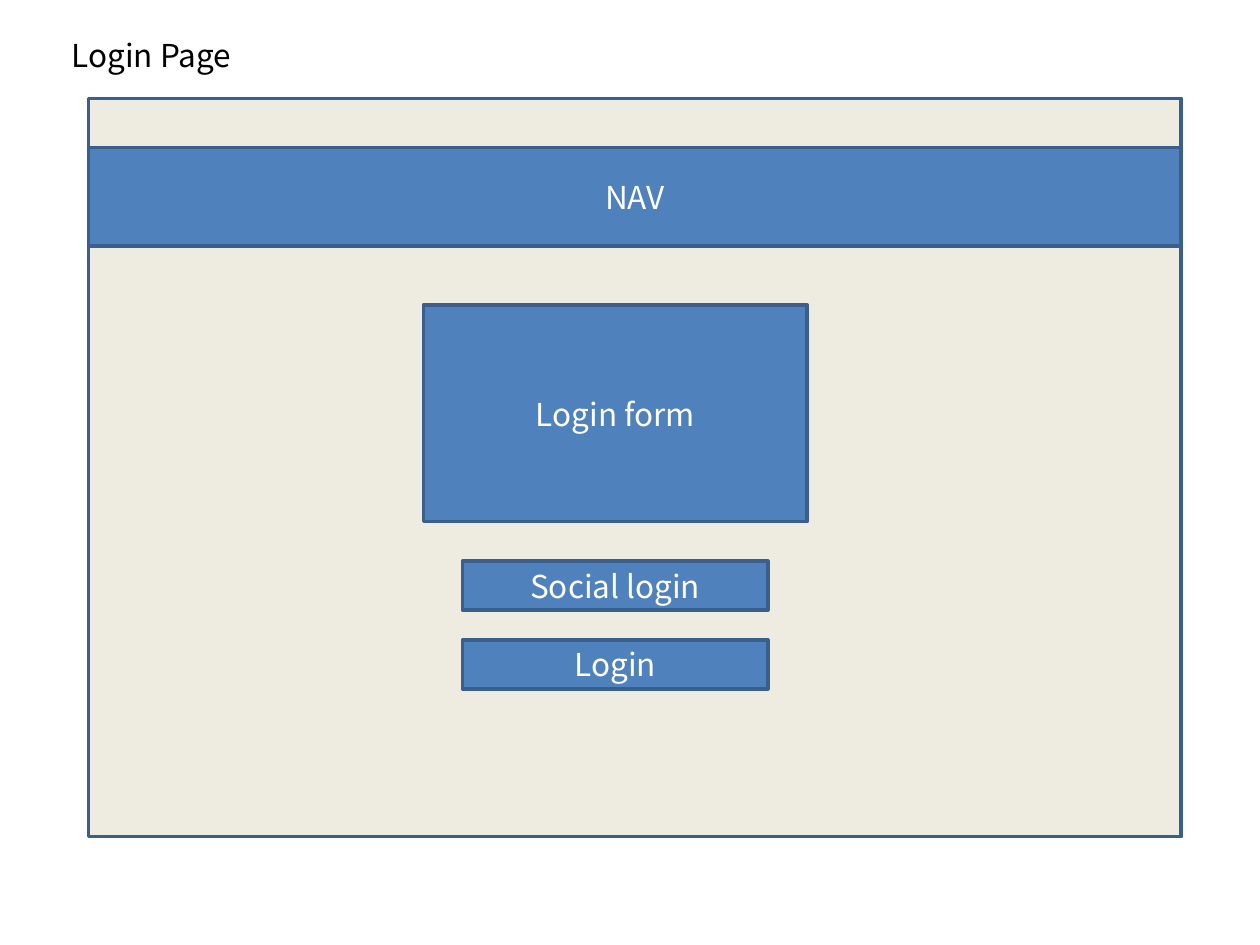
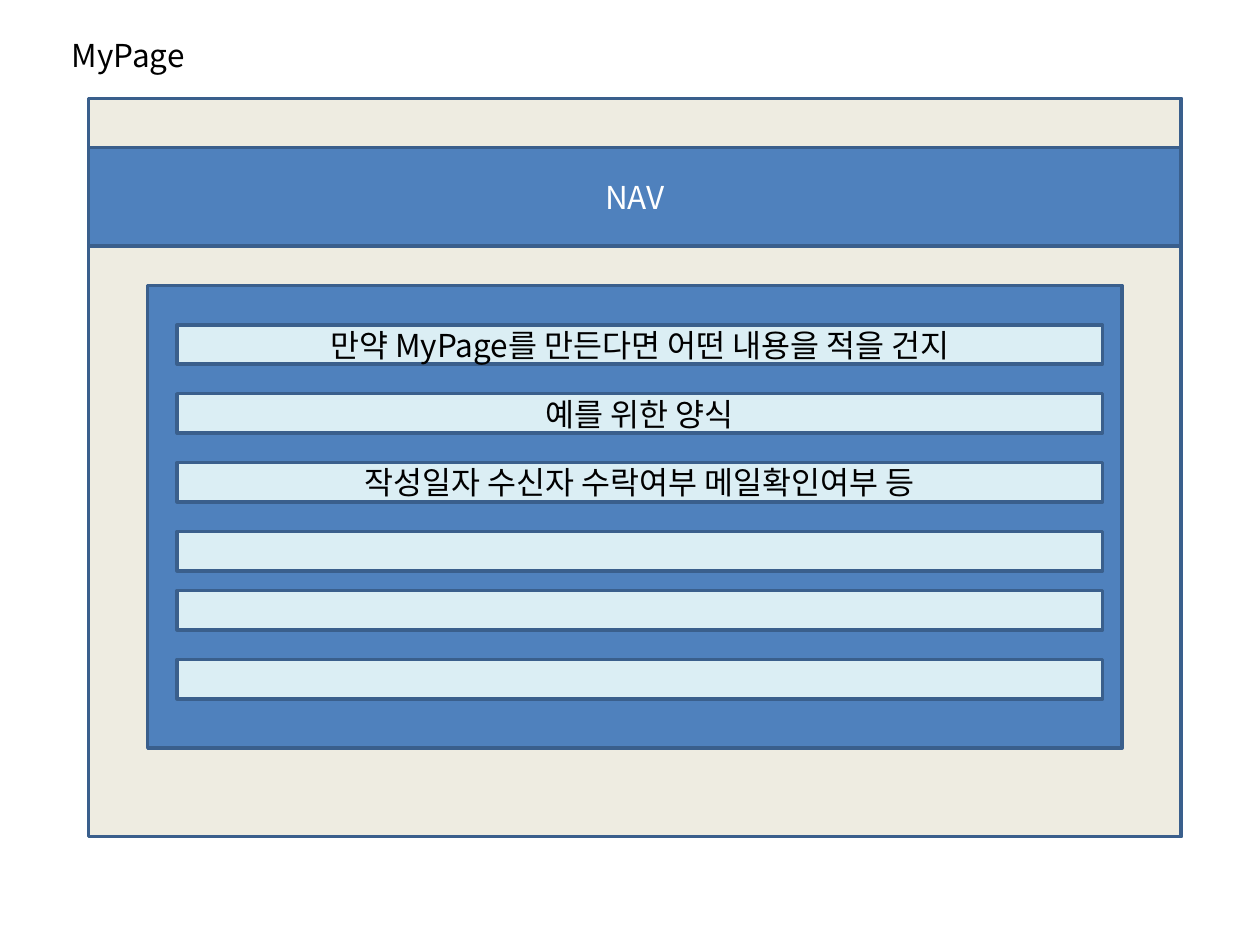
"""Build two web page wireframes: a login page and a personal page."""
import pptx
import pptx.dml.color
import pptx.enum.shapes
import pptx.enum.text
import pptx.oxml.ns
import pptx.util
import lxml.etree

WHITE = pptx.dml.color.RGBColor(0xFF, 0xFF, 0xFF)
BLACK = pptx.dml.color.RGBColor(0x00, 0x00, 0x00)
CREAM = pptx.dml.color.RGBColor(0xEE, 0xEC, 0xE1)
BLUE = pptx.dml.color.RGBColor(0x4F, 0x81, 0xBD)
DARK_BLUE = pptx.dml.color.RGBColor(0x3A, 0x5F, 0x8C)
PALE_BLUE = pptx.dml.color.RGBColor(0xDB, 0xEE, 0xF4)


class Wireframe:
    """Hold the style, the 128 by 96 grid and the current slide."""

    font = {"name": "Noto Sans CJK KR", "size": pptx.util.Pt(18), "bold": False}
    columns, rows = 128, 96
    title_only = 5

    def __init__(self):
        """Start an empty 10 by 7.5 inch presentation."""
        self.presentation = pptx.Presentation()
        self.presentation.slide_width = pptx.util.Inches(10)
        self.presentation.slide_height = pptx.util.Inches(7.5)
        self.slide = None

    def place(self, left, top, width, height):
        """Turn grid columns and rows into slide lengths."""
        column = self.presentation.slide_width / self.columns
        row = self.presentation.slide_height / self.rows
        return [round(count * unit) for count, unit in
                zip((left, top, width, height), (column, row, column, row))]

    def label(self, shape, text, color, alignment, frame_format):
        """Put one formatted paragraph into a shape."""
        frame = shape.text_frame
        for name, value in frame_format.items():
            setattr(frame, name, value)
        paragraph = frame.paragraphs[0]
        paragraph.alignment = alignment
        run = paragraph.add_run()
        run.text = text
        for name, value in self.font.items():
            setattr(run.font, name, value)
        run.font.color.rgb = color
        east_asian = lxml.etree.SubElement(
            run.font._element, pptx.oxml.ns.qn("a:ea"))
        east_asian.set("typeface", self.font["name"])

    def title(self, text, width):
        """Move and format the title placeholder."""
        shape = self.slide.shapes.title
        box = self.place(6, 3, width, 5)
        for name, value in zip(("left", "top", "width", "height"), box):
            setattr(shape, name, value)
        self.label(shape, text, BLACK, pptx.enum.text.PP_ALIGN.LEFT, {
            "word_wrap": False,
            "auto_size": pptx.enum.text.MSO_AUTO_SIZE.SHAPE_TO_FIT_TEXT,
            "vertical_anchor": pptx.enum.text.MSO_ANCHOR.TOP,
        })

    def block(self, left, top, width, height, text="", fill=BLUE, color=WHITE):
        """Draw an outlined rectangle with optional centred text."""
        shape = self.slide.shapes.add_shape(
            pptx.enum.shapes.MSO_SHAPE.RECTANGLE,
            *self.place(left, top, width, height))
        shape.shadow.inherit = False
        shape.fill.solid()
        shape.fill.fore_color.rgb = fill
        shape.line.color.rgb = DARK_BLUE
        shape.line.width = pptx.util.Pt(2)
        if text:
            self.label(shape, text, color, pptx.enum.text.PP_ALIGN.CENTER, {
                "word_wrap": True,
                "vertical_anchor": pptx.enum.text.MSO_ANCHOR.MIDDLE,
            })

    def page(self, title, title_width):
        """Add a slide with its title, page frame and navigation band."""
        layout = self.presentation.slide_layouts[self.title_only]
        self.slide = self.presentation.slides.add_slide(layout)
        self.title(title, title_width)
        self.block(9, 10, 111, 75, fill=CREAM)
        self.block(9, 15, 111, 10, "NAV")


def build_login(wireframe):
    """Draw the login page."""
    wireframe.page("Login Page", 20)
    wireframe.block(43, 31, 39, 22, "Login form")
    for top, text in ((57, "Social login"), (65, "Login")):
        wireframe.block(47, top, 31, 5, text)


def build_my_page(wireframe):
    """Draw the personal page with its list of entries."""
    wireframe.page("MyPage", 15.4)
    wireframe.block(15, 29, 99, 47)
    entries = {
        33: "만약 MyPage를 만든다면 어떤 내용을 적을 건지",
        40: "예를 위한 양식",
        47: "작성일자 수신자 수락여부 메일확인여부 등",
        54: "",
        60: "",
        67: "",
    }
    for top, text in entries.items():
        wireframe.block(18, top, 94, 4, text, PALE_BLUE, BLACK)


def main():
    """Build and save both pages."""
    wireframe = Wireframe()
    build_login(wireframe)
    build_my_page(wireframe)
    wireframe.presentation.save("out.pptx")


main()
